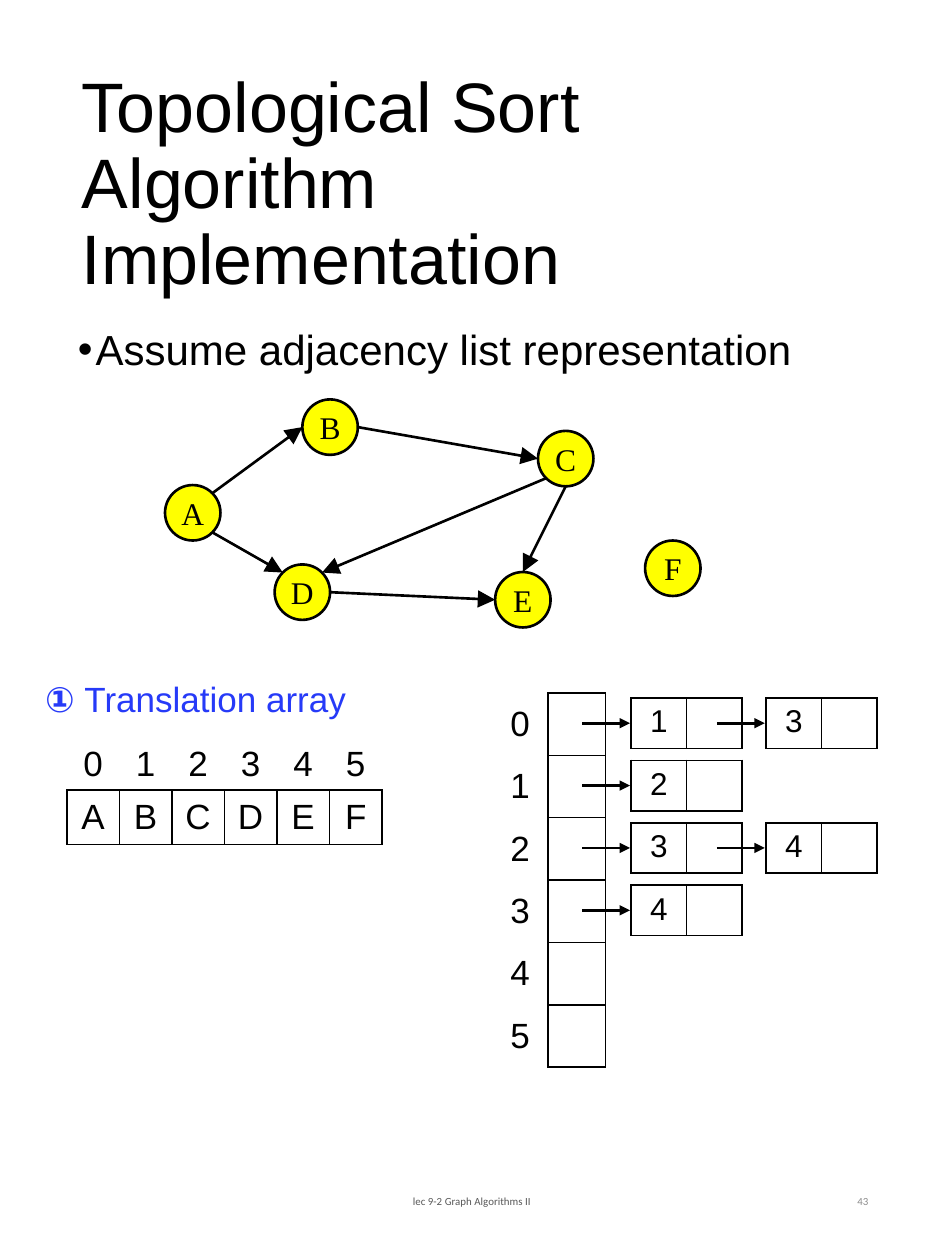
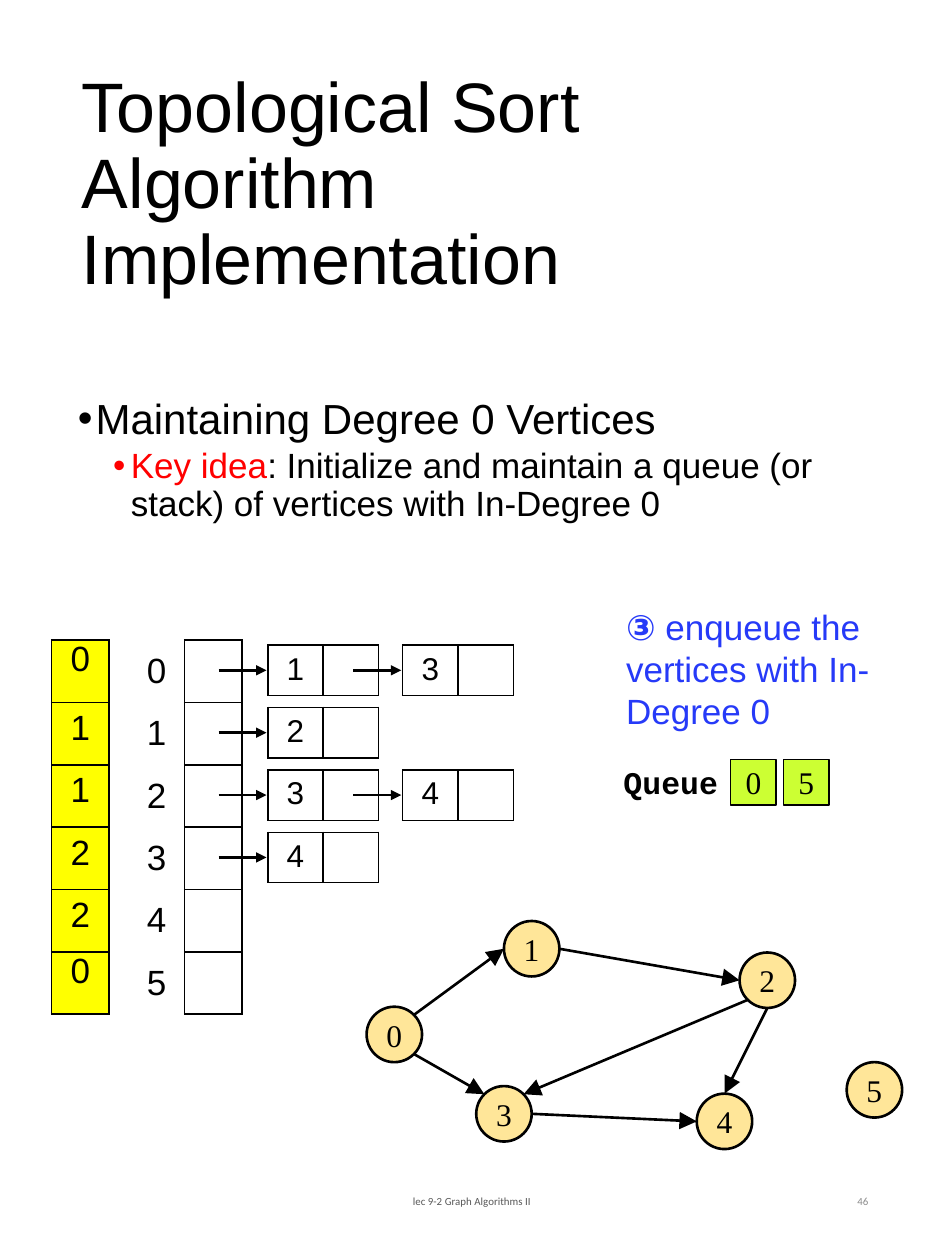
import dataclasses
import itertools
import math

import lxml.etree
import pptx
import pptx.dml.color
import pptx.enum.shapes
import pptx.enum.text
import pptx.oxml.ns
import pptx.util

ALIGN = pptx.enum.text.PP_ALIGN
ANCHOR = pptx.enum.text.MSO_ANCHOR
SHAPE = pptx.enum.shapes.MSO_SHAPE


@dataclasses.dataclass(frozen=True)
class Theme:
    """Colours, fonts, type sizes and line widths shared by the slides."""
    ink: str = "000000"
    accent: str = "263AF8"
    key: str = "FF0000"
    footer: str = "595959"
    number: str = "8C8C8C"
    yellow: str = "FFFF00"
    sand: str = "FFE699"
    lime: str = "CCFF33"
    sans: str = "Arial"
    serif: str = "Times New Roman"
    mono: str = "Courier New"
    small_font: str = "Calibri"
    title: float = 40
    body: float = 24
    label: float = 20
    node: float = 18
    small: float = 6.2
    line: float = 1.5
    border: float = 1
    thin: float = 0.75


THEME = Theme()
COLUMNS, ROWS = 75, 100
CELL = pptx.util.Inches(0.1)
TITLE = "Topological Sort Algorithm Implementation"
FOOTER = "lec 9-2 Graph Algorithms II"
ADJACENCY = [[1, 3], [2], [3, 4], [4], [], []]
VERTICES = range(len(ADJACENCY))
NODE = 4.4
NODE_PLACES = [(0, 6.8), (10.9, 0), (29.6, 2.5), (8.7, 13.1), (26.2, 13.7), (38.1, 11.2)]
COMPASS = {name: math.radians(45 * step)
           for step, name in enumerate(["E", "SE", "S", "SW", "W", "NW", "N", "NE"])}
EDGES = [(2, "S", 4, "N"), (3, "E", 4, "W"), (0, "SE", 3, "NW"),
         (2, "SW", 3, "NE"), (1, "E", 2, "W"), (0, "NE", 1, "W")]
SLOT_ROW = 4.95
LINK_STEP = 10.7


def grid(*cells):
    """Turn grid columns or rows into slide lengths."""
    return [round(CELL * count) for count in cells]


def rgb(colour):
    """Give the colour object of a hex string."""
    return pptx.dml.color.RGBColor.from_string(colour)


def style(font, size, colour=THEME.ink, name=THEME.sans, bold=None):
    """Format a font."""
    font.size = pptx.util.Pt(size)
    font.name = name
    font.color.rgb = rgb(colour)
    font.bold = bold


def element(parent, tag, **attributes):
    """Append a drawing element to a parent."""
    return lxml.etree.SubElement(parent, pptx.oxml.ns.qn(tag), attributes)


def add_text(page, place, text="", size=THEME.label, colour=THEME.ink, name=THEME.sans,
             align=ALIGN.LEFT, anchor=ANCHOR.TOP, bold=None, wrap=True):
    """Add a text box and return its first paragraph."""
    frame = page.shapes.add_textbox(*grid(*place)).text_frame
    frame.word_wrap = wrap
    frame.vertical_anchor = anchor
    para = frame.paragraphs[0]
    para.text = text
    para.alignment = align
    style(para.font, size, colour, name, bold)
    return para


def add_page(deck, number):
    """Add a slide with its title, footer and number."""
    page = deck.slides.add_slide(deck.slide_layouts[5])
    title = page.shapes.title
    title.left, title.top, title.width, title.height = grid(5.5, 5.1, 64.7, 19.3)
    frame = title.text_frame
    frame.text = TITLE
    frame.auto_size = pptx.enum.text.MSO_AUTO_SIZE.NONE
    frame.vertical_anchor = ANCHOR.MIDDLE
    para = frame.paragraphs[0]
    para.alignment = ALIGN.LEFT
    para.line_spacing = 0.9
    style(para.font, THEME.title)
    for place, text, colour, align in [((24.8, 92.7, 25.3, 5.3), FOOTER, THEME.footer, ALIGN.CENTER),
                                       ((53, 92.7, 16.9, 5.3), number, THEME.number, ALIGN.RIGHT)]:
        add_text(page, place, text, THEME.small, colour, THEME.small_font, align, ANCHOR.MIDDLE)
    return page


def add_bullets(page, place, items):
    """Add bullets, each a level and a list of text and colour pairs."""
    box = page.shapes.add_textbox(*grid(*place))
    frame = box.text_frame
    frame.word_wrap = True
    for index, (level, spans) in enumerate(items):
        para = frame.add_paragraph() if index else frame.paragraphs[0]
        para.level = level
        para.line_spacing = 0.9
        if index:
            para.space_before = pptx.util.Pt(2.8)
        properties = para._p.get_or_add_pPr()
        indent, hang = grid(1.4 + 2.8 * level, -1.4)
        properties.set("marL", str(indent))
        properties.set("indent", str(hang))
        element(properties, "a:buFont", typeface=THEME.sans)
        element(properties, "a:buChar", char="•")
        style(para.font, THEME.label if level else THEME.body)
        for text, colour in spans:
            span = para.add_run()
            span.text = text
            span.font.color.rgb = rgb(colour)


def add_step(page, place, number, text):
    """Add a blue step label with a bold circled number."""
    para = add_text(page, place, colour=THEME.accent)
    for words, bold in [(f"{number} ", True), (text, False)]:
        span = para.add_run()
        span.text = words
        span.font.bold = bold


def add_node(page, place, text, fill, kind=SHAPE.OVAL, line=THEME.line):
    """Add a filled, outlined shape with one centred symbol."""
    box = page.shapes.add_shape(kind, *grid(*place))
    box.shadow.inherit = False
    box.fill.solid()
    box.fill.fore_color.rgb = rgb(fill)
    box.line.color.rgb = rgb(THEME.ink)
    box.line.width = pptx.util.Pt(line)
    frame = box.text_frame
    frame.word_wrap = False
    frame.vertical_anchor = ANCHOR.MIDDLE
    para = frame.paragraphs[0]
    para.text = text
    para.alignment = ALIGN.CENTER
    style(para.font, THEME.node, name=THEME.serif)


def add_arrow(page, start, end, head="med"):
    """Add a straight arrow between two grid points."""
    arrow = page.shapes.add_connector(pptx.enum.shapes.MSO_CONNECTOR.STRAIGHT, *grid(*start, *end))
    arrow.line.color.rgb = rgb(THEME.ink)
    arrow.line.width = pptx.util.Pt(THEME.line)
    element(arrow.line._get_or_add_ln(), "a:tailEnd", type="triangle", w=head, len=head)
    element(arrow._element.spPr, "a:effectLst")


def set_borders(cell, bordered):
    """Draw or clear the four borders of a cell."""
    properties = cell._tc.get_or_add_tcPr()
    for side in "LRTB":
        line = element(properties, f"a:ln{side}", w=str(pptx.util.Pt(THEME.border)))
        if bordered:
            element(element(line, "a:solidFill"), "a:srgbClr", val=THEME.ink)
        else:
            element(line, "a:noFill")


def add_cells(page, corner, texts, width, height, size=THEME.label,
              anchor=ANCHOR.MIDDLE, bordered=True, fill=None):
    """Add a table of equal cells from rows of texts."""
    rows, columns = len(texts), len(texts[0])
    place = grid(*corner, width * columns, height * rows)
    table = page.shapes.add_table(rows, columns, *place).table
    table.first_row = table.horz_banding = False
    for column in table.columns:
        column.width, = grid(width)
    for row in table.rows:
        row.height, = grid(height)
    for cell, text in zip(table.iter_cells(), itertools.chain(*texts)):
        set_borders(cell, bordered)
        if fill:
            cell.fill.solid()
            cell.fill.fore_color.rgb = rgb(fill)
        else:
            cell.fill.background()
        cell.vertical_anchor = anchor
        if not text:
            cell.margin_top = cell.margin_bottom = 0
        para = cell.text_frame.paragraphs[0]
        para.text = str(text)
        para.alignment = ALIGN.CENTER
        style(para.font, size)


def add_column(page, corner, texts, **options):
    """Add a one-column table with a row for each vertex."""
    add_cells(page, corner, [[text] for text in texts], 4.55, SLOT_ROW, **options)


def add_adjacency_lists(page, left, top):
    """Add the vertex array with its linked lists."""
    add_column(page, (left, top), [""] * len(VERTICES))
    add_column(page, (left - 4.5, top), VERTICES, bordered=False)
    for vertex, neighbours in enumerate(ADJACENCY):
        row = top + vertex * SLOT_ROW
        for link, neighbour in enumerate(neighbours):
            shift = left + link * LINK_STEP
            add_cells(page, (shift + 6.6, row + 0.4), [[neighbour, ""]], 4.4, 4,
                      THEME.node, ANCHOR.TOP)
            add_arrow(page, (shift + 2.7, row + 2.4), (shift + 6.5, row + 2.4))


def add_graph(page, left, top, names, fill):
    """Add the directed graph with the given vertex names."""
    for (x, y), name in zip(NODE_PLACES, names):
        add_node(page, (left + x, top + y, NODE, NODE), str(name), fill)

    def rim(vertex, side):
        """Find the point on a vertex's rim in a compass direction."""
        x, y = NODE_PLACES[vertex]
        radius, angle = NODE / 2, COMPASS[side]
        return (left + x + radius * (1 + math.cos(angle)),
                top + y + radius * (1 + math.sin(angle)))

    for source, leave, target, arrive in EDGES:
        add_arrow(page, rim(source, leave), rim(target, arrive), "lg")


def build_translation(deck):
    """Build the slide on the translation array."""
    page = add_page(deck, "43")
    add_bullets(page, (5.2, 25.6, 64.7, 63.4),
                [(0, [("Assume adjacency list representation", THEME.ink)])])
    add_graph(page, 13.1, 31.7, "ABCDEF", THEME.yellow)
    add_step(page, (2.6, 53.3, 31, 4.4), "①", "Translation array")
    add_cells(page, (5.3, 62.7), ["ABCDEF"], 4.17, 4.3)
    add_cells(page, (5.3, 58.5), [VERTICES], 4.17, 4.3, bordered=False)
    add_adjacency_lists(page, 43.5, 55)


def build_queue(deck):
    """Build the slide on the queue of vertices with in-degree 0."""
    page = add_page(deck, "46")
    add_bullets(page, (5.2, 31.1, 64.7, 57.9), [
        (0, [("Maintaining Degree 0 Vertices", THEME.ink)]),
        (1, [("Key idea", THEME.key),
             (": Initialize and maintain a queue (or stack) of vertices with In-Degree 0", THEME.ink)])])
    targets = list(itertools.chain(*ADJACENCY))
    degrees = [targets.count(vertex) for vertex in VERTICES]
    add_adjacency_lists(page, 14.65, 50.8)
    add_column(page, (4.1, 50.8), degrees, anchor=ANCHOR.TOP, fill=THEME.yellow)
    add_step(page, (48.7, 47.6, 22.9, 11.1), "③", "enqueue the vertices with In-Degree 0")
    add_text(page, (48.5, 60.1, 9.6, 4), "Queue", THEME.node, name=THEME.mono, bold=True, wrap=False)
    ready = [vertex for vertex in VERTICES if degrees[vertex] == 0]
    for position, vertex in enumerate(ready):
        add_node(page, (58 + 4.2 * position, 60.3, 3.6, 3.6), str(vertex), THEME.lime,
                 SHAPE.RECTANGLE, THEME.thin)
    add_graph(page, 29.1, 73.1, VERTICES, THEME.sand)


def main():
    """Build and save the deck."""
    deck = pptx.Presentation()
    deck.slide_width, deck.slide_height = grid(COLUMNS, ROWS)
    build_translation(deck)
    build_queue(deck)
    deck.save("out.pptx")


if __name__ == "__main__":
    main()
